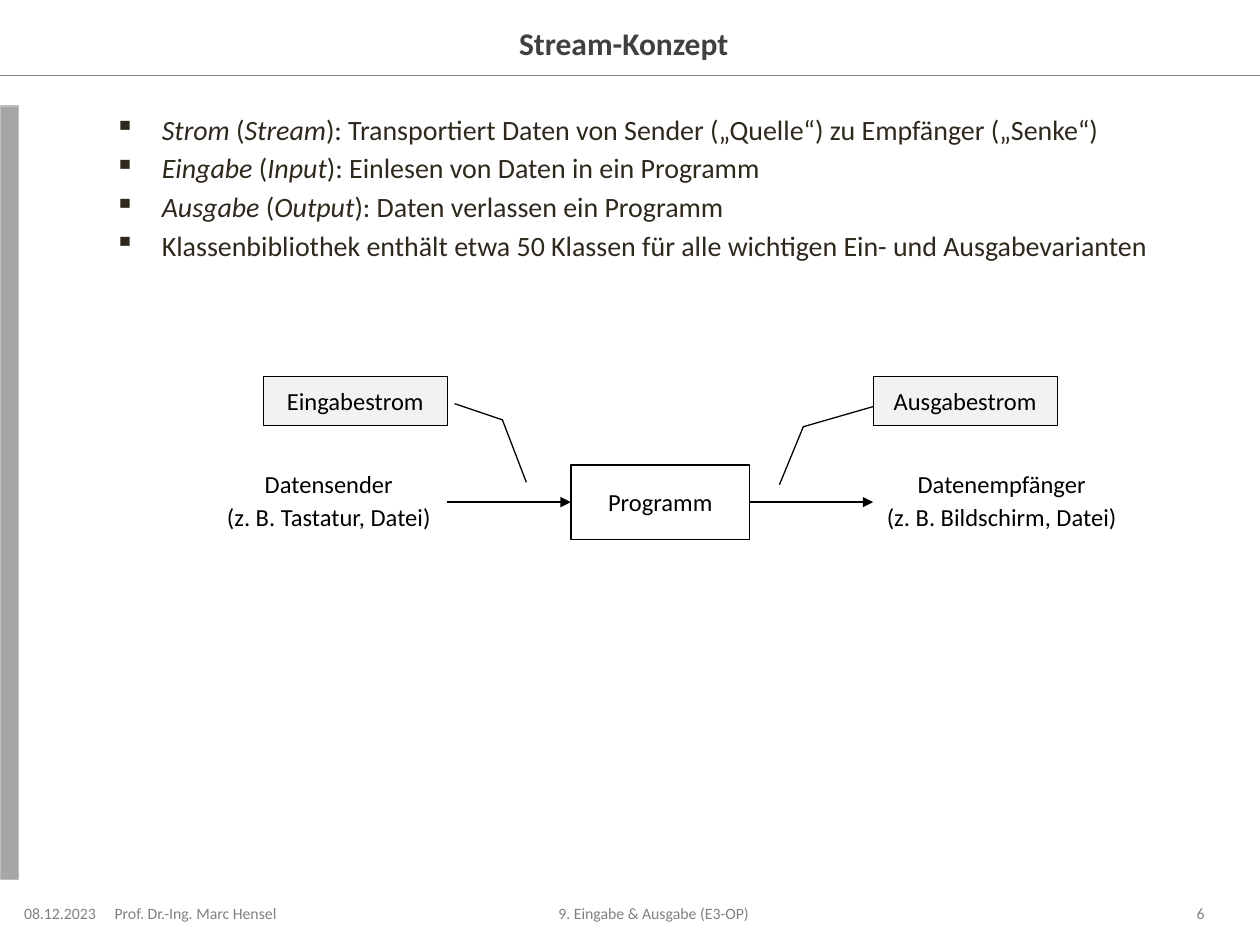
from dataclasses import dataclass
from typing import NamedTuple

from lxml.etree import SubElement
from pptx import Presentation
from pptx.dml.color import RGBColor
from pptx.enum.shapes import MSO_CONNECTOR, MSO_SHAPE
from pptx.enum.text import MSO_ANCHOR as Anchor, PP_ALIGN as Align
from pptx.oxml.ns import qn
from pptx.util import Pt


@dataclass(frozen=True)
class Theme:
    font: str = "Calibri"
    title: str = "404040"
    body: str = "2F291D"
    muted: str = "808080"
    ink: str = "000000"
    paper: str = "FFFFFF"
    callout: str = "F2F2F2"
    bar: str = "A6A6A6"
    bar_edge: str = "BFBFBF"
    title_size: float = 18
    body_size: float = 16
    diagram_size: float = 14
    footer_size: float = 9
    line_width: float = 0.75


class Box(NamedTuple):
    """A rectangle in points."""
    left: float
    top: float
    width: float
    height: float

    def inner(self, left, top, width, height):
        return Box(self.left + left, self.top + top, width, height)

    def emu(self):
        return [Pt(length) for length in self]


THEME = Theme()
LEFT_INSETS = (0, 3.6, 7.2, 3.6)
RIGHT_INSETS = (7.2, 3.6, 0, 3.6)
EVEN_INSETS = (7.2, 3.6, 7.2, 3.6)
BULLET_INDENT = 27
BULLETS = [
    [("Strom ", True), ("(", False), ("Stream", True),
     ("): Transportiert Daten von Sender („Quelle“) zu Empfänger („Senke“)", False)],
    [("Eingabe", True), (" (", False), ("Input", True),
     ("): Einlesen von Daten in ein Programm", False)],
    [("Ausgabe ", True), ("(", False), ("Output", True),
     ("): Daten verlassen ein Programm", False)],
    [("Klassenbibliothek enthält etwa 50 Klassen für alle wichtigen "
      "Ein- und Ausgabevarianten", False)],
]


def rgb(color):
    return RGBColor.from_string(color)


def add_run(paragraph, text, size, color, bold=False, italic=False):
    run = paragraph.add_run()
    run.text = text
    run.font.name = THEME.font
    run.font.size = Pt(size)
    run.font.color.rgb = rgb(color)
    run.font.bold = bold
    run.font.italic = italic


def set_frame(shape, insets, anchor, wrap=True):
    frame = shape.text_frame
    frame.word_wrap = wrap
    frame.vertical_anchor = anchor
    (frame.margin_left, frame.margin_top,
     frame.margin_right, frame.margin_bottom) = [Pt(inset) for inset in insets]
    return frame


def add_paragraphs(frame, count, space):
    """Return count paragraphs with space before all but the first."""
    paragraphs = [frame.paragraphs[0]]
    paragraphs += [frame.add_paragraph() for _ in range(count - 1)]
    for paragraph in paragraphs[1:]:
        paragraph.space_before = Pt(space)
    return paragraphs


def add_label(slide, box, lines, size, color, align=Align.CENTER,
              insets=LEFT_INSETS, anchor=Anchor.MIDDLE, wrap=True, bold=False):
    frame = set_frame(slide.shapes.add_textbox(*box.emu()), insets, anchor, wrap)
    for paragraph, line in zip(add_paragraphs(frame, len(lines), 2.5), lines):
        paragraph.alignment = align
        add_run(paragraph, line, size, color, bold)


def add_block(slide, kind, box, fill, edge, text=None):
    shape = slide.shapes.add_shape(kind, *box.emu())
    shape.shadow.inherit = False
    shape.fill.solid()
    shape.fill.fore_color.rgb = rgb(fill)
    shape.line.color.rgb = rgb(edge)
    shape.line.width = Pt(THEME.line_width)
    if text:
        paragraph = set_frame(shape, EVEN_INSETS, Anchor.MIDDLE).paragraphs[0]
        paragraph.alignment = Align.CENTER
        add_run(paragraph, text, THEME.diagram_size, THEME.ink)
    return shape


def add_rule(slide, left, right, y, color, arrow=False):
    """Draw a horizontal line, with an arrowhead at its right end if asked."""
    line = slide.shapes.add_connector(
        MSO_CONNECTOR.STRAIGHT, Pt(left), Pt(y), Pt(right), Pt(y))
    line.line.color.rgb = rgb(color)
    line.line.width = Pt(THEME.line_width)
    if arrow:
        SubElement(line.line._get_or_add_ln(), qn("a:tailEnd"), type="triangle")
    SubElement(line._element.spPr, qn("a:effectLst"))


def add_header(slide, box):
    add_rule(slide, box.left, box.left + box.width, box.top + box.height, THEME.muted)
    add_label(slide, box.inner(89.3, 10.8, 541.4, 28), ["Stream-Konzept"],
              THEME.title_size, THEME.title, bold=True)


def add_side_bar(slide, box):
    add_block(slide, MSO_SHAPE.RECTANGLE, box, THEME.bar, THEME.bar_edge)


def add_bullets(slide, box):
    frame = set_frame(slide.shapes.add_textbox(*box.emu()), LEFT_INSETS, Anchor.TOP)
    for paragraph, runs in zip(add_paragraphs(frame, len(BULLETS), 3), BULLETS):
        properties = paragraph._p.get_or_add_pPr()
        properties.set("marL", str(Pt(BULLET_INDENT)))
        properties.set("indent", str(-Pt(BULLET_INDENT)))
        SubElement(properties, qn("a:buChar"), char="▪")
        for text, italic in runs:
            add_run(paragraph, text, THEME.body_size, THEME.body, italic=italic)


def add_stream_diagram(slide, box):
    program = box.inner(206, 50.5, 102.2, 42.5)
    sender = box.inner(0, 49, 135.4, 44.6)
    receiver = box.inner(378.8, 49, 146.9, 44.6)
    sender_edge = sender.left + sender.width
    program_edge = program.left + program.width
    arrow_y = program.top + program.height / 2

    add_block(slide, MSO_SHAPE.RECTANGLE, program, THEME.paper, THEME.ink, "Programm")
    for side, lines in ((sender, ["Datensender", "(z. B. Tastatur, Datei)"]),
                        (receiver, ["Datenempfänger", "(z. B. Bildschirm, Datei)"])):
        add_label(slide, side, lines, THEME.diagram_size, THEME.ink,
                  insets=EVEN_INSETS, anchor=Anchor.TOP, wrap=False)
    for start, end in ((sender_edge, program.left), (program_edge, receiver.left)):
        add_rule(slide, start, end, arrow_y, THEME.ink, arrow=True)

    callout_width = 105.1
    callouts = (
        ("Eingabestrom", sender_edge - callout_width,
         (0.55, 1.04, 0.88, 1.3, 2.15, 1.43)),
        ("Ausgabestrom", receiver.left, (0.61, 0, 1.02, -0.38, 2.2, -0.51)),
    )
    for text, left, leader in callouts:
        callout = add_block(slide, MSO_SHAPE.LINE_CALLOUT_2,
                            Box(left, box.top, callout_width, 28.1),
                            THEME.callout, THEME.ink, text)
        for index, value in enumerate(leader):
            callout.adjustments[index] = value


def add_footer(slide, box):
    entries = (
        ("08.12.2023", 10.8, 54, Align.CENTER, LEFT_INSETS),
        ("Prof. Dr.-Ing. Marc Hensel", 65.5, 108, Align.LEFT, LEFT_INSETS),
        ("9. Eingabe & Ausgabe (E3-OP)", 178.6, 396.7, Align.CENTER, LEFT_INSETS),
        ("6", 642.2, 46.1, Align.RIGHT, RIGHT_INSETS),
    )
    for text, left, width, align, insets in entries:
        add_label(slide, box.inner(left, 0, width, box.height), [text],
                  THEME.footer_size, THEME.muted, align, insets)


def main():
    presentation = Presentation()
    presentation.slide_width, presentation.slide_height = Pt(720), Pt(540)
    slide = presentation.slides.add_slide(presentation.slide_layouts[6])
    add_header(slide, Box(0, 0, 720, 43.2))
    add_side_bar(slide, Box(0, 60.5, 10.8, 442))
    add_bullets(slide, Box(65.5, 60.5, 623.5, 442))
    add_stream_diagram(slide, Box(120.2, 215.2, 525.7, 93.6))
    add_footer(slide, Box(0, 516.5, 720, 11.2))
    presentation.save("out.pptx")


if __name__ == "__main__":
    main()
